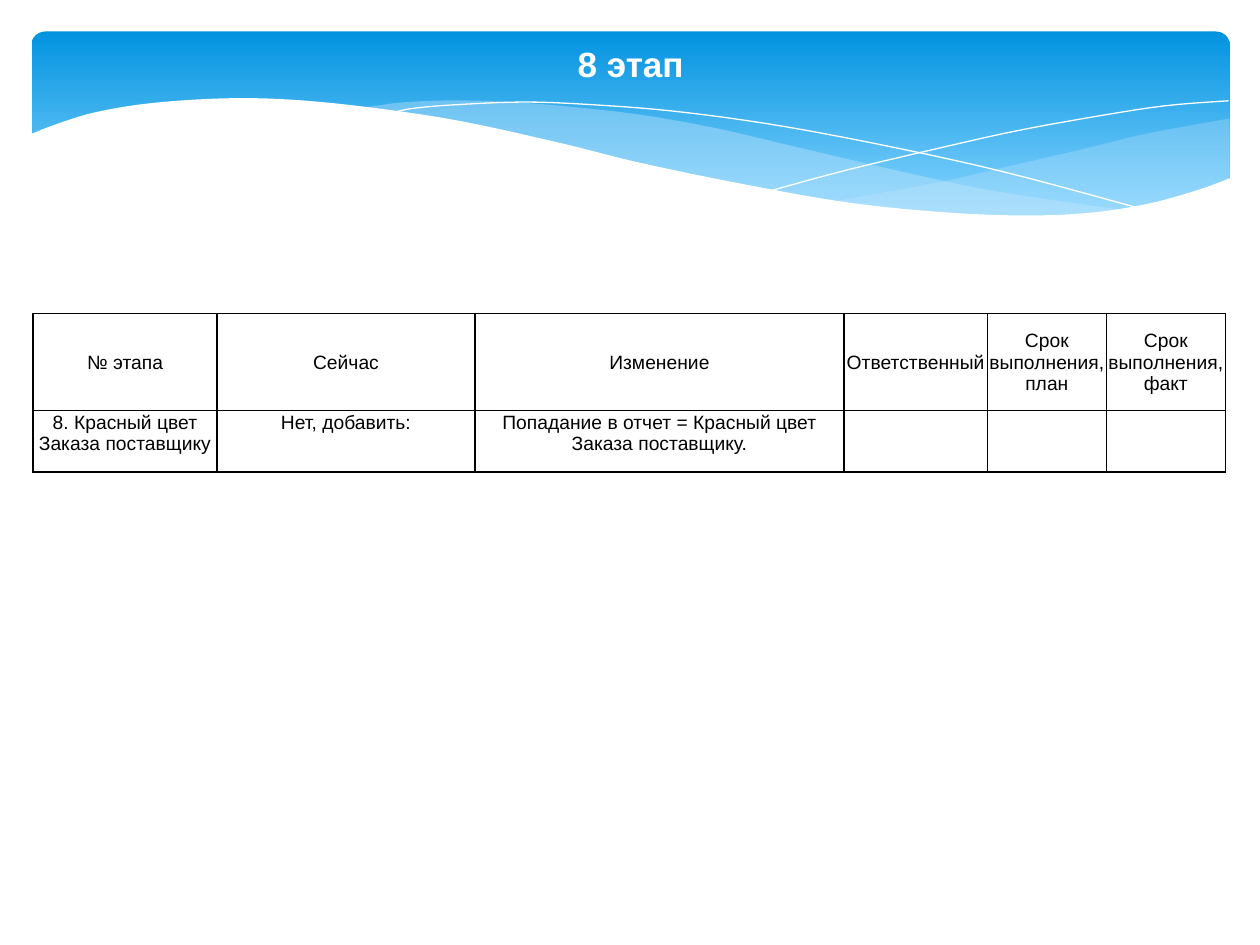
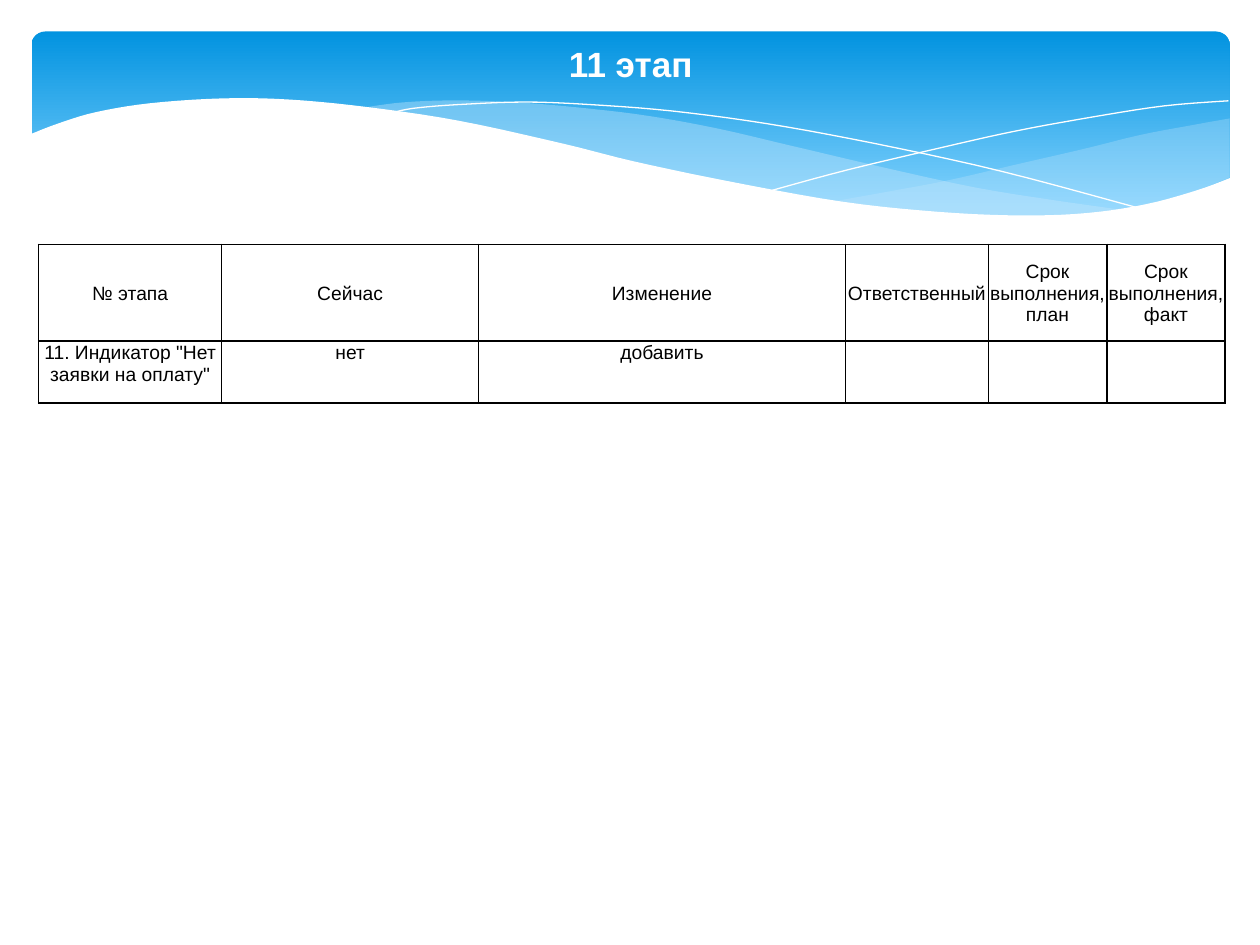
"""Builds two process-stage slides with a wave banner, a title and a plan table."""
from lxml.etree import SubElement
from pptx import Presentation
from pptx.dml.color import RGBColor
from pptx.enum.shapes import MSO_SHAPE as Preset
from pptx.enum.text import MSO_ANCHOR as Anchor, PP_ALIGN as Align
from pptx.oxml.ns import qn
from pptx.util import Pt

HEADER = ["№ этапа", "Сейчас", "Изменение", "Ответственный",
          "Срок выполнения, план", "Срок выполнения, факт"]
STAGES = [
    {"title": "8 этап", "at": (18.9, 179.2),
     "columns": [105.1, 147.5, 210.8, 82, 68, 68],
     "row": ["8. Красный цвет Заказа поставщику", "Нет, добавить:",
             "Попадание в отчет = Красный цвет Заказа поставщику.", "", "", ""]},
    {"title": "11 этап", "at": (22.1, 139.6),
     "columns": [104.6, 146.8, 209.7, 81.6, 67.7, 67.7],
     "row": ['11. Индикатор "Нет заявки на оплату"', "нет", "добавить", "", "", ""]},
]
ROW_HEIGHTS = [55.4, 35.2]
FONT = "Arial"
COLORS = {"sky": "0293E0", "light": "83D3FE", "ripple": "C6E7FC",
          "white": "FFFFFF", "black": "000000"}

RIGHT_RIPPLE = [
    [(702.7, 67.7), (682.6, 71.3), (652.3, 77), (619.9, 85), (579.6, 94.3),
     (542.2, 103), (508.3, 109.4), (475.9, 115.2)],
    [(475.9, 115.2), (507.6, 118.8), (536.4, 121.7), (570.2, 123.8), (601.2, 123.8),
     (627.8, 121.7), (657.4, 116.6), (678.2, 110.9), (702.7, 101.5)],
]
LONG_RIPPLE = [
    [(205.9, 61.9), (225.4, 59), (247.7, 57.6), (273.6, 57.6), (302.4, 59),
     (334.8, 61.9), (370.1, 66.2), (409.7, 73.4), (452.9, 83.5), (508.3, 96.5),
     (558, 107.3), (602.6, 114.5), (643, 120.2)],
    [(643, 120.2), (617, 123.1), (589, 124.6), (556.6, 123.8), (519.8, 121),
     (478.8, 115.9), (432.7, 108), (381.6, 97.2), (323.3, 83.5), (275.8, 72.7),
     (246.2, 67.7), (205.9, 61.9)],
]
FALLING_LINE = [
    [(222.5, 64.8), (236.2, 61.9), (261.4, 59.8), (299.5, 58.3), (337.7, 59.8),
     (383.8, 63.4), (437.8, 70.6), (500.4, 82.1), (572.4, 97.9), (653, 119.5)],
]
RISING_LINE = [
    [(441.4, 108.7), (483.8, 97.2), (538.6, 84.2), (580.3, 74.9), (623.5, 67),
     (665.3, 60.5), (702, 57.6)],
]
WHITE_WAVE = [
    [(703.4, 101.5), (684, 108.7), (655.2, 116.6), (621.4, 121.7), (582.5, 123.1),
     (535.7, 121), (481, 115.2), (416.9, 103.7), (362.2, 92.2), (321.8, 82.1),
     (262.8, 69.1), (210.2, 61.2), (165.6, 56.9), (127.4, 56.2), (85.7, 59),
     (54.7, 64.1), (33.1, 70.6), (16.6, 77)],
    [(16.6, 161.3), (703.4, 161.3)],
]
WAVES = [
    {"strands": RIGHT_RIPPLE, "fill": "ripple", "alpha": 29},
    {"strands": LONG_RIPPLE, "fill": "ripple", "alpha": 40},
    {"strands": FALLING_LINE, "line": "white"},
    {"strands": RISING_LINE, "line": "white"},
    {"strands": WHITE_WAVE, "fill": "white"},
]


def color(name):
    return RGBColor.from_string(COLORS[name])


def smooth(knots, steps=5):
    """Return a Catmull-Rom curve through the knots."""
    if len(knots) < 3:
        return knots
    padded = [knots[0], *knots, knots[-1]]
    curve = [knots[0]]
    for a, b, c, d in zip(padded, padded[1:], padded[2:], padded[3:]):
        for step in range(1, steps + 1):
            t = step / steps
            curve.append(tuple(
                q + t * (r - p) / 2 + t ** 2 * (p - 2.5 * q + 2 * r - s / 2)
                + t ** 3 * (1.5 * (q - r) + (s - p) / 2)
                for p, q, r, s in zip(a, b, c, d)))
    return curve


def add_wave(page, strands, fill=None, line=None, alpha=None):
    points = [(Pt(x), Pt(y)) for strand in strands for x, y in smooth(strand)]
    builder = page.shapes.build_freeform(*points[0])
    builder.add_line_segments(points[1:], close=fill is not None)
    wave = builder.convert_to_shape()
    wave.shadow.inherit = False
    if fill:
        wave.fill.solid()
        wave.fill.fore_color.rgb = color(fill)
        wave.line.fill.background()
    else:
        wave.fill.background()
        wave.line.color.rgb = color(line)
        wave.line.width = Pt(0)
    if alpha:
        tint = next(wave.element.spPr.iter(qn("a:srgbClr")))
        SubElement(tint, qn("a:alpha"), val=str(alpha * 1000))


def add_banner(page):
    banner = page.shapes.add_shape(Preset.ROUNDED_RECTANGLE,
                                   Pt(18), Pt(18), Pt(684.7), Pt(112.3))
    banner.adjustments[0] = 0.07
    banner.shadow.inherit = False
    banner.line.fill.background()
    banner.fill.gradient()
    banner.fill.gradient_angle = 270
    for stop, name, position in zip(banner.fill.gradient_stops, ["sky", "light"], [0, 0.9]):
        stop.color.rgb = color(name)
        stop.position = position
    for wave in WAVES:
        add_wave(page, **wave)


def style(para, size, name, bold):
    para.alignment = Align.CENTER
    for span in para.runs:
        span.font.name = FONT
        span.font.size = Pt(size)
        span.font.bold = bold
        span.font.color.rgb = color(name)


def add_title(page, title):
    box = page.shapes.add_textbox(Pt(20.2), Pt(20.9), Pt(680.4), Pt(31.7))
    box.text_frame.word_wrap = True
    box.text_frame.text = title
    style(box.text_frame.paragraphs[0], 20, "white", True)


def add_borders(cell):
    properties = cell._tc.get_or_add_tcPr()
    for index, side in enumerate(["lnL", "lnR", "lnT", "lnB"]):
        border = SubElement(properties, qn(f"a:{side}"), w=str(Pt(1)))
        fill = SubElement(border, qn("a:solidFill"))
        SubElement(fill, qn("a:srgbClr"), val=COLORS["black"])
        properties.insert(index, border)


def add_plan(page, at, columns, row):
    rows = [HEADER, row]
    left, top = at
    plan = page.shapes.add_table(len(rows), len(columns), Pt(left), Pt(top),
                                 Pt(sum(columns)), Pt(sum(ROW_HEIGHTS))).table
    plan.first_row = plan.horz_banding = False
    for column, width in zip(plan.columns, columns):
        column.width = Pt(width)
    for line, height, texts, anchor in zip(plan.rows, ROW_HEIGHTS, rows,
                                           [Anchor.MIDDLE, Anchor.TOP]):
        line.height = Pt(height)
        for cell, text in zip(line.cells, texts):
            cell.fill.background()
            cell.vertical_anchor = anchor
            cell.margin_left = cell.margin_right = cell.margin_top = Pt(0.72)
            cell.margin_bottom = Pt(0)
            cell.text_frame.text = text
            style(cell.text_frame.paragraphs[0], 11, "black", False)
            add_borders(cell)


def main():
    deck = Presentation()
    deck.slide_width, deck.slide_height = Pt(720), Pt(540)
    for stage in STAGES:
        page = deck.slides.add_slide(deck.slide_layouts[6])
        add_banner(page)
        add_title(page, stage["title"])
        add_plan(page, stage["at"], stage["columns"], stage["row"])
    deck.save("out.pptx")


if __name__ == "__main__":
    main()
